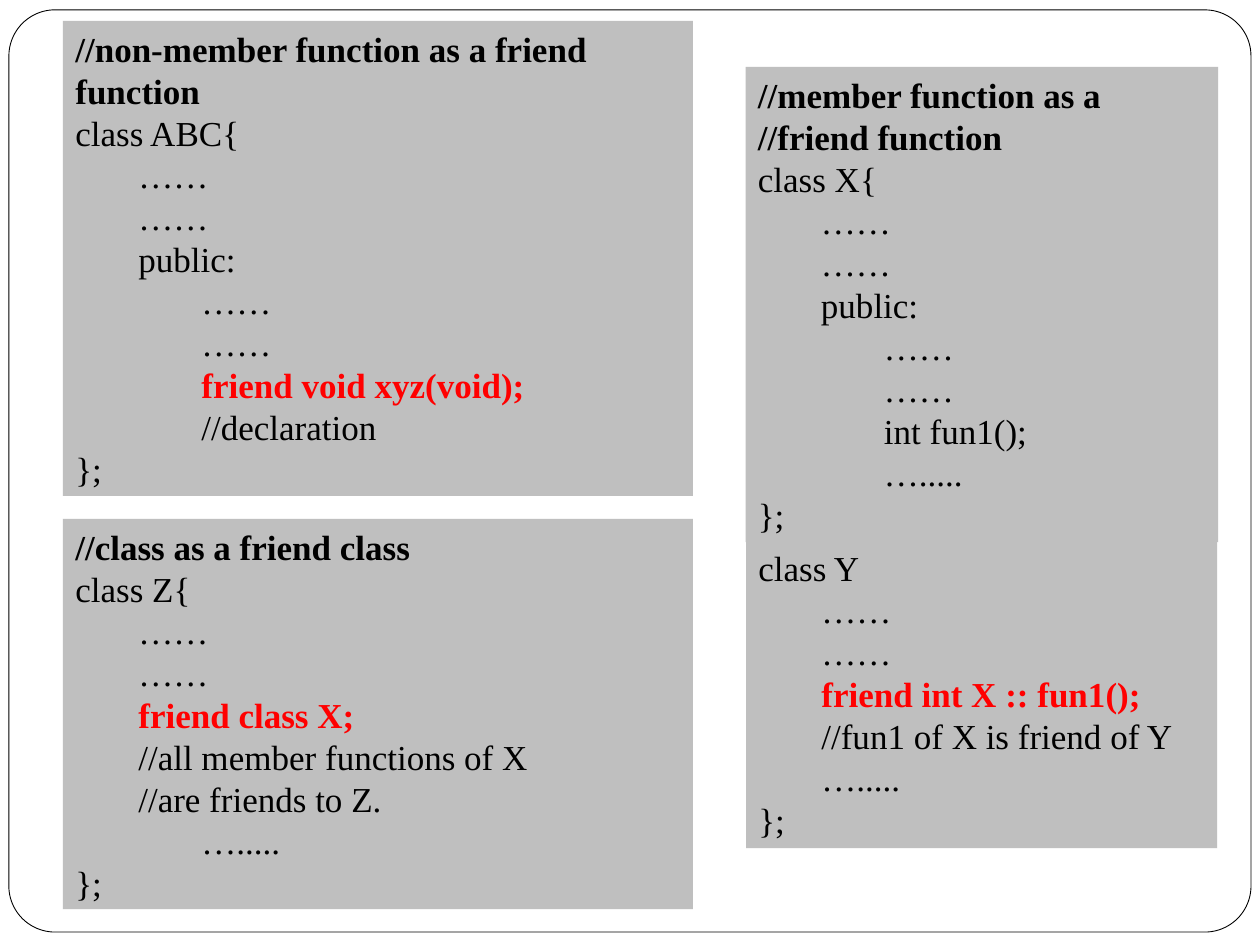
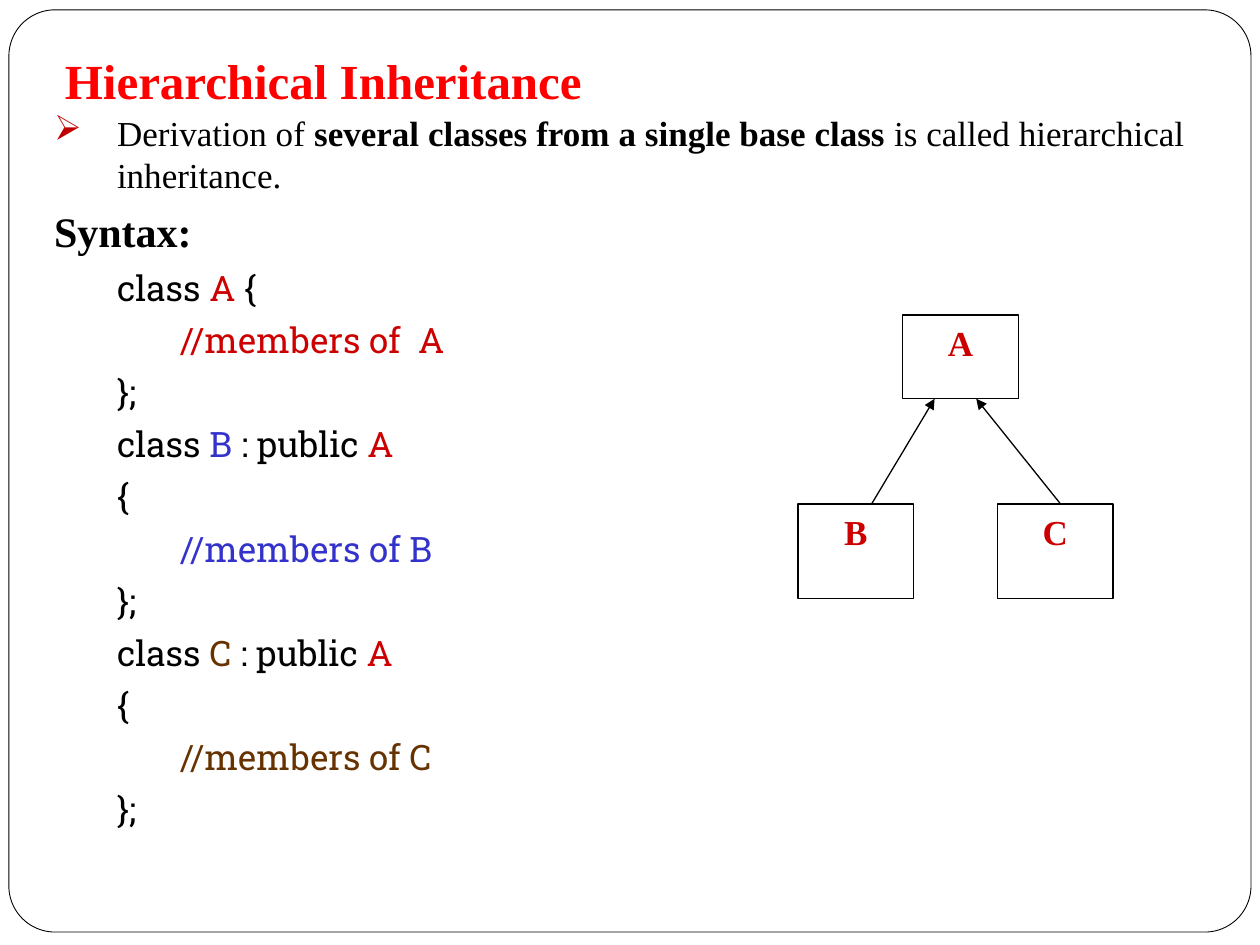
from dataclasses import dataclass

from lxml import etree
from pptx import Presentation
from pptx.dml.color import RGBColor
from pptx.enum.shapes import MSO_CONNECTOR, MSO_SHAPE
from pptx.enum.text import MSO_ANCHOR, PP_ALIGN
from pptx.oxml.ns import qn
from pptx.util import Cm, Pt

RECTANGLE = MSO_SHAPE.RECTANGLE
ROUNDED = MSO_SHAPE.ROUNDED_RECTANGLE
STRAIGHT = MSO_CONNECTOR.STRAIGHT
TOP, BOTTOM = MSO_ANCHOR.TOP, MSO_ANCHOR.BOTTOM
LEFT, CENTER, JUSTIFY = PP_ALIGN.LEFT, PP_ALIGN.CENTER, PP_ALIGN.JUSTIFY

COLORS = {
    "black": "000000",
    "white": "FFFFFF",
    "panel": "BFBFBF",
    "highlight": "FF0000",
    "bullet": "C00000",
    "class_a": "CC0000",
    "class_b": "3333CC",
    "class_c": "663300",
}
SERIF = "Times New Roman"
SLAB = "Roboto Slab"
INDENT = Cm(1.27)
DOTS = "……"
LONG_DOTS = "…....."


@dataclass(frozen=True)
class Span:
    text: str
    color: str = "black"
    bold: bool = False
    size: int = 20
    font: str = SERIF


@dataclass(frozen=True)
class Line:
    spans: tuple[Span, ...]
    level: int = 0
    bulleted: bool = False


@dataclass(frozen=True)
class Box:
    left: float
    top: float
    width: float
    height: float
    lines: tuple[Line, ...]


@dataclass(frozen=True)
class Arrow:
    start: tuple[float, float]
    end: tuple[float, float]


def line(text: str, level: int = 0, **style) -> Line:
    return Line((Span(text, **style),), level)


def heading(text: str) -> Line:
    return line(text, bold=True)


def friend(text: str, level: int) -> Line:
    return line(text, level, color="highlight", bold=True)


def slab(level: int, *parts: tuple[str, str]) -> Line:
    return Line(tuple(Span(text, color, font=SLAB) for text, color in parts), level)


def derived_class(letter: str, color: str) -> tuple[Line, ...]:
    return (
        slab(1, ("class ", "black"), (f"{letter} ", color),
             (": public ", "black"), ("A", "class_a")),
        slab(1, ("{", "black")),
        slab(2, (f"//members of {letter}", color)),
        slab(1, ("};", "black")),
    )


def class_node(letter: str, left: float, top: float, height: float) -> Box:
    return Box(left, top, 2.33, height,
               (line(letter, color="class_a", bold=True),))


CODE_PANELS = (
    Box(1.27, 0.42, 12.7, 9.58, (
        heading("//non-member function as a friend function"),
        line("class ABC{"),
        line(DOTS, 1),
        line(DOTS, 1),
        line("public:", 1),
        line(DOTS, 2),
        line(DOTS, 2),
        friend("friend void xyz(void);", 2),
        line("//declaration", 2),
        line("};"),
    )),
    Box(15.03, 1.35, 9.53, 9.58, (
        heading("//member function as a"),
        heading("//friend function"),
        line("class X{"),
        line(DOTS, 1),
        line(DOTS, 1),
        line("public:", 1),
        line(DOTS, 2),
        line(DOTS, 2),
        line("int fun1();", 2),
        line(LONG_DOTS, 2),
        line("};"),
    )),
    Box(15.04, 10.9, 9.5, 6.2, (
        line("class Y"),
        line(DOTS, 1),
        line(DOTS, 1),
        friend("friend int X :: fun1();", 1),
        line("//fun1 of X is friend of Y", 1),
        line(LONG_DOTS, 1),
        line("};"),
    )),
    Box(1.27, 10.46, 12.7, 7.87, (
        heading("//class as a friend class"),
        line("class Z{"),
        line(DOTS, 1),
        line(DOTS, 1),
        friend("friend class X;", 1),
        line("//all member functions of X", 1),
        line("//are friends to Z.", 1),
        line(LONG_DOTS, 2),
        line("};"),
    )),
)

TITLE = Box(1.06, 0.64, 21.59, 1.69, (
    line("Hierarchical Inheritance", color="highlight", bold=True, size=28),
))
SYNTAX = Box(0.84, 2.12, 23.29, 15.67, (
    Line((
        Span("Derivation of "),
        Span("several classes from a single base class", bold=True),
        Span(" is called hierarchical inheritance."),
    ), 1, bulleted=True),
    line("Syntax:", bold=True, size=24),
    slab(1, ("class ", "black"), ("A ", "class_a"), ("{", "black")),
    slab(2, ("//members of  A", "class_a")),
    slab(1, ("};", "black")),
    *derived_class("B", "class_b"),
    *derived_class("C", "class_c"),
))
CLASS_NODES = (
    class_node("A", 18.2, 6.35, 1.69),
    class_node("B", 16.09, 10.16, 1.91),
    class_node("C", 20.11, 10.16, 1.91),
)
INHERITANCE_ARROWS = (
    Arrow((17.57, 10.16), (18.84, 8.04)),
    Arrow((21.38, 10.16), (19.68, 8.04)),
)


def rgb(name: str) -> RGBColor:
    return RGBColor.from_string(COLORS[name])


def add_bullet(properties) -> None:
    properties.set("indent", str(-INDENT))
    bullet_color = etree.SubElement(properties, qn("a:buClr"))
    etree.SubElement(bullet_color, qn("a:srgbClr"), val=COLORS["bullet"])
    etree.SubElement(properties, qn("a:buChar"), char="➢")


def write_lines(frame, lines: tuple[Line, ...], align=LEFT, anchor=TOP,
                space_before: float = 0) -> None:
    frame.word_wrap = True
    frame.vertical_anchor = anchor
    for index, content in enumerate(lines):
        paragraph = frame.add_paragraph() if index else frame.paragraphs[0]
        paragraph.alignment = align
        paragraph.space_before = Pt(space_before)
        properties = paragraph._p.get_or_add_pPr()
        properties.set("marL", str(content.level * INDENT))
        if content.bulleted:
            add_bullet(properties)
        for span in content.spans:
            run = paragraph.add_run()
            run.text = span.text
            run.font.name = span.font
            run.font.size = Pt(span.size)
            run.font.bold = span.bold
            run.font.color.rgb = rgb(span.color)


def place(box: Box) -> tuple[Cm, ...]:
    return tuple(Cm(n) for n in (box.left, box.top, box.width, box.height))


def add_text(slide, box: Box, **layout) -> None:
    frame = slide.shapes.add_textbox(*place(box)).text_frame
    write_lines(frame, box.lines, **layout)


def add_box(slide, box: Box, fill: str, outlined: bool, align=LEFT) -> None:
    shape = slide.shapes.add_shape(RECTANGLE, *place(box))
    shape.shadow.inherit = False
    shape.fill.solid()
    shape.fill.fore_color.rgb = rgb(fill)
    if outlined:
        shape.line.color.rgb = rgb("black")
        shape.line.width = Pt(0.75)
    else:
        shape.line.fill.background()
    write_lines(shape.text_frame, box.lines, align=align)


def add_arrow(slide, arrow: Arrow) -> None:
    ends = (Cm(n) for n in (*arrow.start, *arrow.end))
    connector = slide.shapes.add_connector(STRAIGHT, *ends)
    connector.line.color.rgb = rgb("black")
    connector.line.width = Pt(0.75)
    etree.SubElement(connector.line._get_or_add_ln(), qn("a:tailEnd"), type="triangle")
    etree.SubElement(connector._element.spPr, qn("a:effectLst"))


def add_framed_slide(deck):
    slide = deck.slides.add_slide(deck.slide_layouts[6])
    border = slide.shapes.add_shape(ROUNDED, Cm(0.18), Cm(0.2), Cm(25.04), Cm(18.59))
    border.adjustments[0] = 0.05
    border.shadow.inherit = False
    border.fill.background()
    border.line.color.rgb = rgb("black")
    border.line.width = Pt(0.5)
    return slide


def build_friend_slide(deck) -> None:
    slide = add_framed_slide(deck)
    for panel in CODE_PANELS:
        add_box(slide, panel, "panel", outlined=False)


def build_inheritance_slide(deck) -> None:
    slide = add_framed_slide(deck)
    add_text(slide, SYNTAX, align=JUSTIFY, space_before=5.8)
    for node in CLASS_NODES:
        add_box(slide, node, "white", outlined=True, align=CENTER)
    for arrow in INHERITANCE_ARROWS:
        add_arrow(slide, arrow)
    add_text(slide, TITLE, anchor=BOTTOM)


def main() -> None:
    deck = Presentation()
    deck.slide_width, deck.slide_height = Cm(25.4), Cm(19.05)
    build_friend_slide(deck)
    build_inheritance_slide(deck)
    deck.save("out.pptx")


if __name__ == "__main__":
    main()
